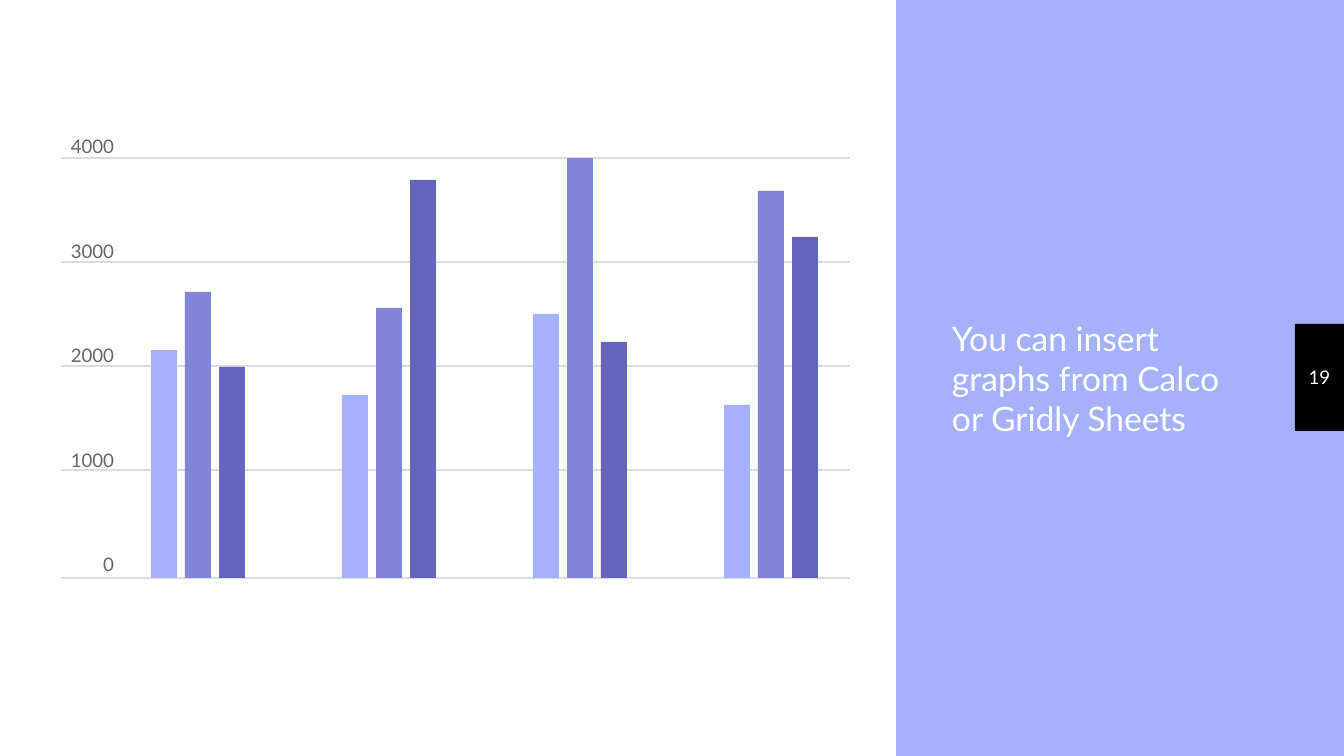
from pptx import Presentation
from pptx.dml.color import RGBColor
from pptx.enum.shapes import MSO_CONNECTOR as Connector, MSO_SHAPE as Shape
from pptx.enum.text import MSO_ANCHOR as Anchor, PP_ALIGN as Align
from pptx.oxml.ns import qn
from pptx.util import Emu, Pt
from lxml.etree import SubElement

EMU_PER_PX = 914400 / 134.4
FONT = "Lato"
LAVENDER, VIOLET, INDIGO = "A5B0FE", "8184D9", "6463BD"
WHITE, BLACK, GREY, RULE = "FFFFFF", "000000", "666666", "DADBE6"

AXIS_MAX = 4000
AXIS_LABELS = ["4000", "3000", "2000", "1000", "0"]
GRID_OFFSETS = [0, 104, 208, 312, 420]
BAR_GROUPS = [
    (2170, 2720, 2010),
    (1740, 2570, 3790),
    (2510, 4000, 2250),
    (1650, 3690, 3250),
]


def px(length):
    return Emu(round(length * EMU_PER_PX))


def color(hex_code):
    return RGBColor.from_string(hex_code)


def add_block(slide, left, top, width, height, fill):
    block = slide.shapes.add_shape(
        Shape.RECTANGLE, px(left), px(top), px(width), px(height))
    block.shadow.inherit = False
    block.fill.solid()
    block.fill.fore_color.rgb = color(fill)
    block.line.fill.background()


def add_text(slide, box, lines, size, fill, inset=0, align=Align.LEFT,
             anchor=Anchor.TOP):
    """Write one paragraph per line and return the paragraphs."""
    frame = slide.shapes.add_textbox(*map(px, box)).text_frame
    frame.word_wrap = True
    frame.vertical_anchor = anchor
    frame.margin_left = frame.margin_right = px(inset)
    frame.margin_top = frame.margin_bottom = px(inset)
    frame.text = "\n".join(lines)
    for paragraph in frame.paragraphs:
        paragraph.alignment = align
        paragraph.font.name = FONT
        paragraph.font.size = Pt(size)
        paragraph.font.color.rgb = color(fill)
    return frame.paragraphs


def add_rule(slide, left, y, width):
    rule = slide.shapes.add_connector(
        Connector.STRAIGHT, px(left), px(y), px(left + width), px(y))
    rule.line.color.rgb = color(RULE)
    rule.line.width = Pt(0.75)
    SubElement(rule._element.spPr, qn("a:effectLst"))


def add_page_number(slide, left, top, width, height):
    add_block(slide, left, top, width, height, BLACK)
    add_text(slide, (left, top, width, height), ["19"], 10, WHITE,
             inset=13, align=Align.CENTER, anchor=Anchor.MIDDLE)


def add_caption(slide, left, top, width, height):
    caption, = add_text(
        slide, (left, top, width, height),
        ["You can insert graphs from Calco or Gridly Sheets"], 18, WHITE,
        inset=13, anchor=Anchor.MIDDLE)
    caption.space_before = Pt(3.6)


def add_bar_graph(slide, left, top, width, height):
    # Gridlines and axis labels
    for offset in GRID_OFFSETS:
        add_rule(slide, left, top + offset, width)
    labels = add_text(slide, (left, top - 23, 53, height + 25), AXIS_LABELS,
                      10, GREY, align=Align.RIGHT)
    for label in labels[1:]:
        label.space_before = Pt(44)

    # Bars, standing on the lowest gridline
    for group, values in enumerate(BAR_GROUPS):
        for series, (value, fill) in enumerate(
                zip(values, (LAVENDER, VIOLET, INDIGO))):
            bar_left = left + 90 + 191 * group + 34 * series
            bar_height = round(height * value / AXIS_MAX)
            add_block(slide, bar_left, top + height - bar_height,
                      26, bar_height, fill)


def main():
    deck = Presentation()
    deck.slide_width, deck.slide_height = px(1344), px(756)
    slide = deck.slides.add_slide(deck.slide_layouts[6])
    slide.background.fill.solid()
    slide.background.fill.fore_color.rgb = color(LAVENDER)

    add_block(slide, 0, 0, 896, 756, WHITE)
    add_caption(slide, 939, 65, 312, 626)
    add_page_number(slide, 1295, 324, 49, 107)
    add_bar_graph(slide, 61, 158, 789, 420)

    deck.save("out.pptx")


if __name__ == "__main__":
    main()
